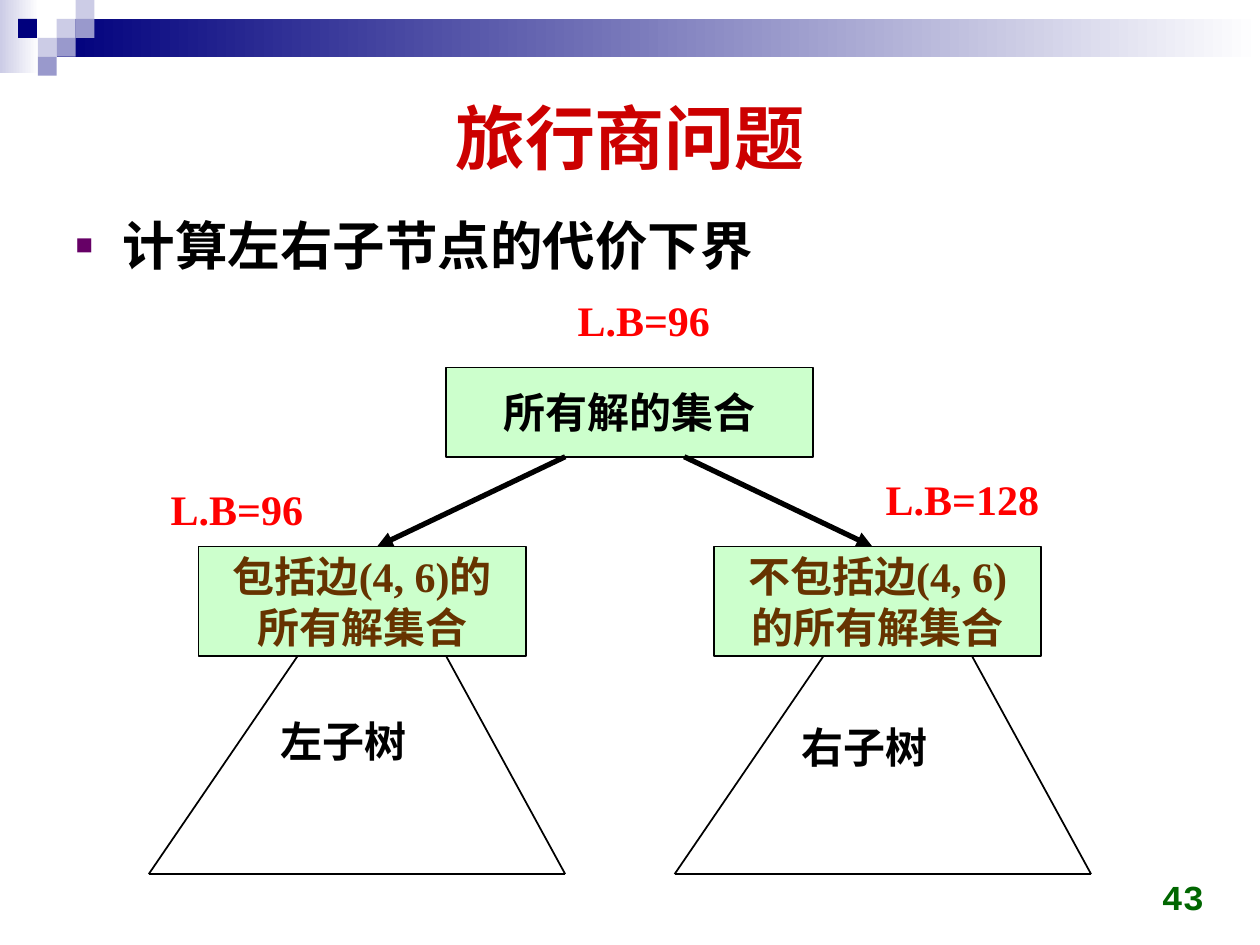
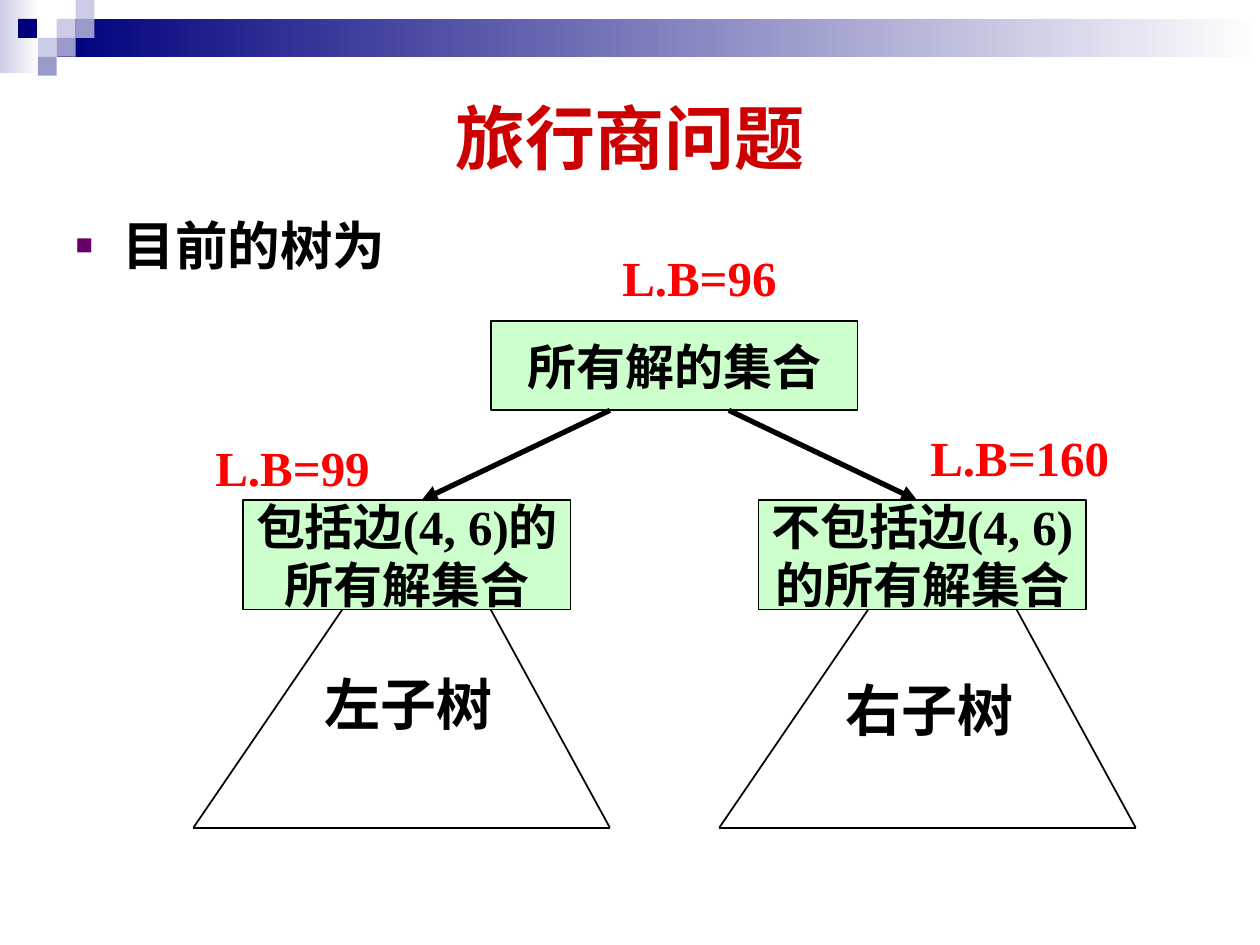
from lxml.etree import SubElement
from pptx import Presentation
from pptx.dml.color import RGBColor
from pptx.enum.shapes import MSO_CONNECTOR, MSO_SHAPE
from pptx.enum.text import MSO_ANCHOR as ANCHOR, MSO_AUTO_SIZE, PP_ALIGN as ALIGN
from pptx.oxml.ns import qn
from pptx.util import Pt

# Colours
NAVY = RGBColor(0x00, 0x00, 0x7D)
LILAC = RGBColor(0xCC, 0xCC, 0xE6)
VIOLET = RGBColor(0x99, 0x99, 0xCC)
WHITE = RGBColor(0xFF, 0xFF, 0xFF)
BLACK = RGBColor(0, 0, 0)
TITLE_RED = RGBColor(0xCC, 0, 0)
BOUND_RED = RGBColor(0xFF, 0, 0)
BROWN = RGBColor(0x66, 0x33, 0x00)
GREEN = RGBColor(0x00, 0x66, 0x00)
BOX_GREEN = RGBColor(0xCC, 0xFF, 0xCC)
SERIF = "Times New Roman"

# Content; origin is the top left corner of the root box
TITLE = "旅行商问题"
ROOT = ["所有解的集合"]
CHILDREN = [["包括边(4, 6)的", "所有解集合"], ["不包括边(4, 6)", "的所有解集合"]]
SUBTREES = ["左子树", "右子树"]
SLIDES = [
    dict(bullet="计算左右子节点的代价下界", origin=(255, 210), size=24, tree_size=24,
         child_color=BROWN, bounds=["L.B=96", "L.B=96", "L.B=128"], number="43"),
    dict(bullet="目前的树为", origin=(280.5, 183.5), size=28, tree_size=32,
         child_color=BLACK, bounds=["L.B=96", "L.B=99", "L.B=160"], number=None),
]

# Tree geometry, relative to the origin
ROOT_BOX = (0, 0, 209.5, 51)
CHILD_BOXES = [(-141.5, 102.3, 187, 62.5), (153, 102.3, 187, 62.5)]
BOUND_SPOTS = [(68, -45.4), (-164.5, 62.7), (244, 57)]
ARROWS = [(68, 51, -39.5, 102.3), (136, 51, 243.5, 102.3)]
TRIANGLE = [(-85, 165, -170, 289.5), (0, 165, 68, 289.5), (-170, 289.5, 68, 289.5)]
TRIANGLE_STEP = 300.5
SUBTREE_SPOTS = [(-102, 195.5), (195.8, 198.8)]

# Corner squares: column, row, colour on a grid of 10.8 pt
CELL = 10.8
SQUARES = [(3, 1, LILAC), (4, 0, LILAC), (4, 1, VIOLET), (2, 2, LILAC),
           (1, 1, NAVY), (3, 2, VIOLET), (2, 3, VIOLET)]


def write(tf, lines, size, color, font=SERIF, align=ALIGN.LEFT):
    for i, line in enumerate(lines):
        p = tf.paragraphs[0] if i == 0 else tf.add_paragraph()
        p.alignment = align
        r = p.add_run()
        r.text = line
        for name, value in dict(size=Pt(size), bold=True, name=font).items():
            setattr(r.font, name, value)
        r.font.color.rgb = color
    return tf.paragraphs[0]


def rect(s, at, color, fade=False):
    sp = s.shapes.add_shape(MSO_SHAPE.RECTANGLE, *map(Pt, at))
    sp.shadow.inherit = False
    sp.line.fill.background()
    if fade:
        sp.fill.gradient()
        sp.fill.gradient_angle = 0
        for stop, rgb, position in zip(sp.fill.gradient_stops, (color, WHITE), (0, 1)):
            stop.color.rgb = rgb
            stop.position = position
    else:
        sp.fill.solid()
        sp.fill.fore_color.rgb = color
    return sp


def node(s, at, lines, size, color):
    sp = rect(s, at, BOX_GREEN)
    sp.line.color.rgb = BLACK
    sp.line.width = Pt(1)
    tf = sp.text_frame
    tf.word_wrap = False
    tf.vertical_anchor = ANCHOR.MIDDLE
    write(tf, lines, size, color, align=ALIGN.CENTER)


def label(s, x, y, text, size, color, ems):
    at = (x, y, ems * size + 14.4, 1.22 * size + 7.2)
    tf = s.shapes.add_textbox(*map(Pt, at)).text_frame
    tf.word_wrap = False
    tf.auto_size = MSO_AUTO_SIZE.SHAPE_TO_FIT_TEXT
    write(tf, [text], size, color)


def line(s, ends, width, arrow=False):
    c = s.shapes.add_connector(MSO_CONNECTOR.STRAIGHT, *map(Pt, ends))
    c.line.color.rgb = BLACK
    c.line.width = Pt(width)
    if arrow:
        SubElement(c.line._get_or_add_ln(), qn("a:tailEnd"), type="triangle")
    SubElement(c.element.spPr, qn("a:effectLst"))


def bullet(p):
    pPr = p._p.get_or_add_pPr()
    pPr.set("marL", str(Pt(27)))
    pPr.set("indent", str(-Pt(27)))
    SubElement(SubElement(pPr, qn("a:buClr")), qn("a:srgbClr"), val="660066")
    SubElement(pPr, qn("a:buSzPct"), val="55000")
    SubElement(pPr, qn("a:buFont"), typeface="Arial")
    SubElement(pPr, qn("a:buChar"), char="■")


def add_master_bands(prs, s):
    """Draw the bands on a slide, then move them behind everything on the master."""
    bands = [rect(s, (0, 0, 22.3, 41.8), LILAC, fade=True),
             rect(s, (32.4, CELL, 687.6, 2 * CELL), NAVY, fade=True)]
    bands += [rect(s, (col * CELL - (0.5 if col == 1 else 0), row * CELL, CELL, CELL), color)
              for col, row, color in SQUARES]
    for i, sp in enumerate(bands):
        prs.slide_master.shapes.element.insert(2 + i, sp.element)


def draw_tree(s, data):
    x0, y0 = data["origin"]
    size = data["size"]

    def box(at):
        return (x0 + at[0], y0 + at[1], *at[2:])

    def ends(at, dx=0):
        return (x0 + dx + at[0], y0 + at[1], x0 + dx + at[2], y0 + at[3])

    node(s, box(ROOT_BOX), ROOT, size, BLACK)
    for at, lines in zip(CHILD_BOXES, CHILDREN):
        node(s, box(at), lines, size, data["child_color"])
    for at in ARROWS:
        line(s, ends(at), 3, arrow=True)
    for at, text in zip(BOUND_SPOTS, data["bounds"]):
        label(s, *box(at), text, size, BOUND_RED, 3.17 + 0.5 * (len(text) - 6))
    for i, (at, text) in enumerate(zip(SUBTREE_SPOTS, SUBTREES)):
        for side in TRIANGLE:
            line(s, ends(side, i * TRIANGLE_STEP), 1)
        label(s, *box(at), text, data["tree_size"], BLACK, 3.05)


# Page and shared layout
prs = Presentation()
prs.slide_width, prs.slide_height = Pt(720), Pt(540)
layout = prs.slide_layouts[1]
for ph, at in zip(layout.placeholders, [(36, 36, 648, 83.5), (36, 116.6, 648, 374.4)]):
    ph.left, ph.top, ph.width, ph.height = map(Pt, at)

# Slides
for i, data in enumerate(SLIDES):
    s = prs.slides.add_slide(layout)
    if i == 0:
        add_master_bands(prs, s)
    title, body = s.shapes.title.text_frame, s.placeholders[1].text_frame
    title.vertical_anchor = ANCHOR.MIDDLE
    write(title, [TITLE], 40, TITLE_RED, "Arial", ALIGN.CENTER)
    p = write(body, [data["bullet"]], 30, BLACK, "Arial")
    p.line_spacing = 1.05
    p.space_before = Pt(4.5)
    bullet(p)
    if data["number"]:
        tf = s.shapes.add_textbox(Pt(527), Pt(491.8), Pt(168), Pt(36)).text_frame
        tf.word_wrap = True
        tf.vertical_anchor = ANCHOR.BOTTOM
        write(tf, [data["number"]], 20, GREEN, "Courier New", ALIGN.RIGHT)
    draw_tree(s, data)

prs.save("out.pptx")
